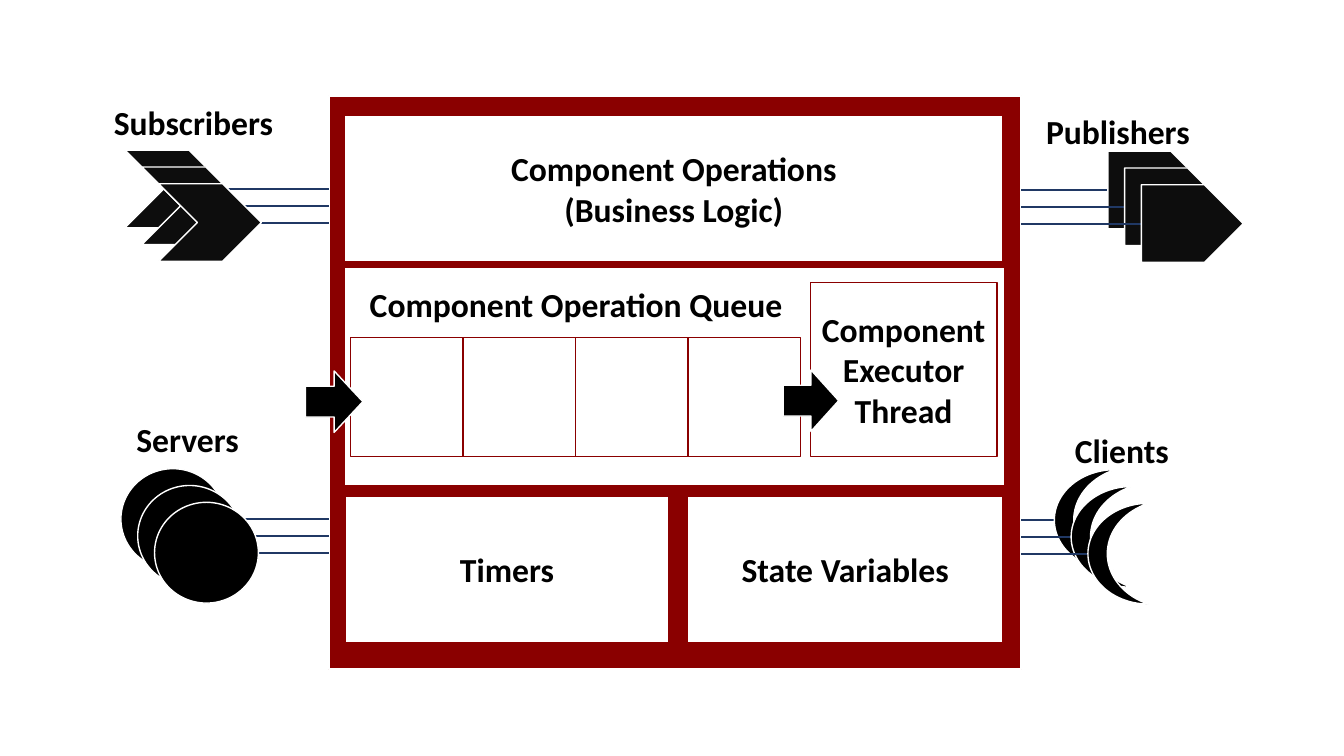
from dataclasses import dataclass

from lxml import etree
from pptx import Presentation
from pptx.dml.color import RGBColor
from pptx.enum.shapes import MSO_CONNECTOR, MSO_SHAPE
from pptx.enum.text import MSO_ANCHOR, PP_ALIGN
from pptx.oxml.ns import qn
from pptx.util import Inches, Pt

RECTANGLE = MSO_SHAPE.RECTANGLE
ARROW = MSO_SHAPE.RIGHT_ARROW
CHEVRON = MSO_SHAPE.CHEVRON
PENTAGON = MSO_SHAPE.PENTAGON
OVAL = MSO_SHAPE.OVAL
MOON = MSO_SHAPE.MOON
STRAIGHT = MSO_CONNECTOR.STRAIGHT
CENTER = PP_ALIGN.CENTER
MIDDLE = MSO_ANCHOR.MIDDLE


@dataclass(frozen=True)
class Theme:
    frame: RGBColor = RGBColor(0x8A, 0x00, 0x00)
    paper: RGBColor = RGBColor(0xFF, 0xFF, 0xFF)
    ink: RGBColor = RGBColor(0x00, 0x00, 0x00)
    soft_ink: RGBColor = RGBColor(0x0D, 0x0D, 0x0D)
    link: RGBColor = RGBColor(0x20, 0x38, 0x64)
    font: str = "Calibri"
    text_size: Pt = Pt(24)
    thin: Pt = Pt(1)
    thick: Pt = Pt(1.5)


THEME = Theme()
COLUMNS, ROWS = 80, 45

presentation = Presentation()
presentation.slide_width = Inches(13.33)
presentation.slide_height = Inches(7.5)
COLUMN = presentation.slide_width / COLUMNS
ROW = presentation.slide_height / ROWS
slide = presentation.slides.add_slide(presentation.slide_layouts[6])


def add_figure(kind, left, top, width, height, fill, line, weight=THEME.thin):
    """Add a shape placed in grid columns and rows."""
    shape = slide.shapes.add_shape(kind, round(left * COLUMN), round(top * ROW),
                                   round(width * COLUMN), round(height * ROW))
    shape.shadow.inherit = False
    shape.fill.solid()
    shape.fill.fore_color.rgb = fill
    shape.line.color.rgb = line
    shape.line.width = weight
    return shape


def write_lines(shape, lines):
    """Write centred bold lines, one paragraph each."""
    frame = shape.text_frame
    frame.word_wrap = True
    for number, line in enumerate(lines):
        paragraph = frame.add_paragraph() if number else frame.paragraphs[0]
        paragraph.alignment = CENTER
        run = paragraph.add_run()
        run.text = line
        run.font.name = THEME.font
        run.font.size = THEME.text_size
        run.font.bold = True
        run.font.color.rgb = THEME.ink


# Component frame and its panels
FRAME_LEFT, FRAME_WIDTH = 19.56, 41.22
FRAME_RIGHT = FRAME_LEFT + FRAME_WIDTH
add_figure(RECTANGLE, FRAME_LEFT, 5.7, FRAME_WIDTH, 34.14,
           THEME.frame, THEME.paper, THEME.thick)
add_figure(RECTANGLE, 20.52, 15.9, 39.3, 13.02, THEME.paper, THEME.frame)

panels = [
    (20.52, 6.84, 39.18, 8.76, ["Component Operations", "(Business Logic)"]),
    (20.58, 29.52, 19.2, 8.76, ["Timers"]),
    (40.92, 29.52, 18.78, 8.76, ["State Variables"]),
    (48.24, 16.8, 11.1, 10.38, ["Component Executor Thread"]),
]
for left, top, width, height, lines in panels:
    panel = add_figure(RECTANGLE, left, top, width, height, THEME.paper, THEME.frame)
    panel.text_frame.vertical_anchor = MIDDLE
    write_lines(panel, lines)

# Operation queue
QUEUE_LEFT, CELL_PITCH = 20.88, 6.69
for cell in range(4):
    add_figure(RECTANGLE, QUEUE_LEFT + cell * CELL_PITCH, 20.1, 6.72, 7.08,
               THEME.paper, THEME.frame)
for left, top, width in [(18.18, 22.08, 3.42), (46.62, 22.02, 3.3)]:
    add_figure(ARROW, left, top, width, 3.66, THEME.ink, THEME.paper)

# Port stacks: three layers, each one step right and down, linked to the frame
LAYERS, STEP = 3, 1
ports = [
    (CHEVRON, 7.44, 8.94, 6.12, 4.62, THEME.soft_ink),
    (PENTAGON, 65.94, 9, 6.06, 4.62, THEME.soft_ink),
    (OVAL, 7.2, 27.9, 6.18, 6, THEME.ink),
    (MOON, 62.76, 27.96, 3.6, 6, THEME.ink),
]
for kind, first_left, first_top, width, height, fill in ports:
    for layer in range(LAYERS):
        left = first_left + layer * STEP
        top = first_top + layer * STEP
        middle = round((top + height / 2) * ROW)
        if left < FRAME_LEFT:
            start, end = left + width, FRAME_LEFT
        else:
            start, end = left, FRAME_RIGHT
        link = slide.shapes.add_connector(STRAIGHT, round(start * COLUMN), middle,
                                          round(end * COLUMN), middle)
        link.line.color.rgb = THEME.link
        link.line.width = THEME.thick
        etree.SubElement(link._element.spPr, qn("a:effectLst"))
        port = add_figure(kind, left, top, width, height, fill, THEME.paper)
        if kind == MOON:
            port.adjustments[0] = 0.32

# Labels
labels = [
    ("Component Operation Queue", 20.88, 16.62, 26.82),
    ("Subscribers", 6.18, 5.76, 10.68),
    ("Publishers", 61.56, 6.3, 9.96),
    ("Servers", 6.18, 24.66, 9.96),
    ("Clients", 61.8, 25.32, 9.96),
]
for text, left, top, width in labels:
    label = slide.shapes.add_textbox(round(left * COLUMN), round(top * ROW),
                                     round(width * COLUMN), round(3 * ROW))
    write_lines(label, [text])

presentation.save("out.pptx")
